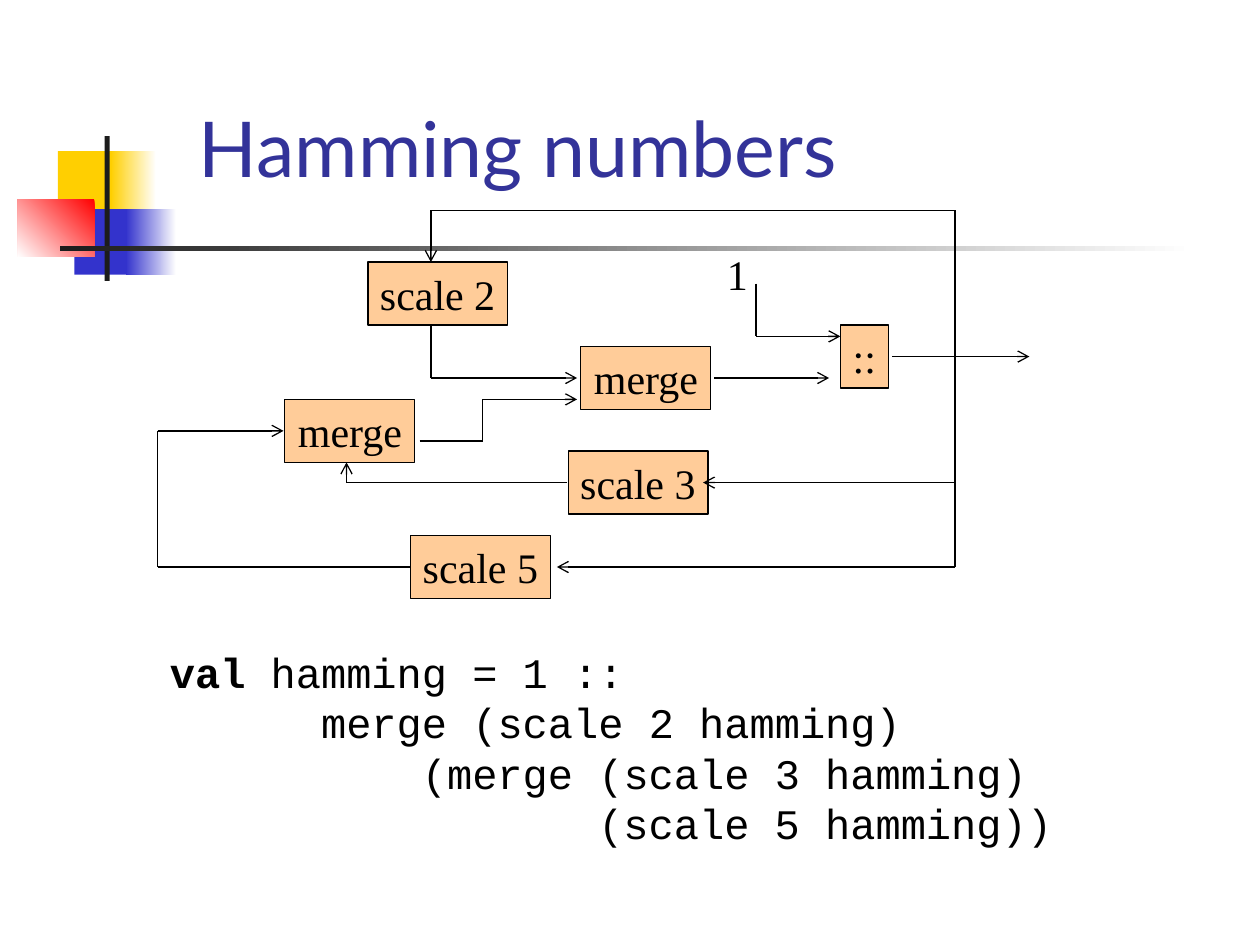
import itertools
from dataclasses import dataclass

import pptx
import pptx.dml.color
import pptx.enum.shapes
import pptx.enum.text
import pptx.oxml.ns
import pptx.util
from lxml import etree
from pptx.util import Inches

ALIGN = pptx.enum.text.PP_ALIGN
ANCHOR = pptx.enum.text.MSO_ANCHOR
RECTANGLE = pptx.enum.shapes.MSO_SHAPE.RECTANGLE
qn = pptx.oxml.ns.qn


@dataclass(frozen=True)
class Theme:
    title: str = "333399"
    ink: str = "000000"
    node: str = "FFCC99"
    yellow: str = "FFCF01"
    blue: str = "3333CC"
    red: str = "FF0000"
    bar: str = "1C1C1C"
    white: str = "FFFFFF"
    title_font: str = "Lato"
    body_font: str = "Times New Roman"
    code_font: str = "Courier New"
    title_size: int = 44
    body_size: int = 24
    line_width: float = 0.75


THEME = Theme()


def rgb(color):
    return pptx.dml.color.RGBColor.from_string(color)


def add_rectangle(slide, left, top, width, height, *colors, angle=180):
    """One colour gives a solid fill, two give a gradient."""
    shape = slide.shapes.add_shape(
        RECTANGLE, Inches(left), Inches(top), Inches(width), Inches(height))
    shape.shadow.inherit = False
    shape.line.fill.background()
    if len(colors) == 1:
        shape.fill.solid()
        shape.fill.fore_color.rgb = rgb(colors[0])
    else:
        shape.fill.gradient()
        shape.fill.gradient_angle = angle
        for stop, color in zip(shape.fill.gradient_stops, colors):
            stop.color.rgb = rgb(color)
    return shape


def style_paragraph(paragraph, font, size, color, align=ALIGN.LEFT):
    paragraph.alignment = align
    paragraph.font.name = font
    paragraph.font.size = pptx.util.Pt(size)
    paragraph.font.color.rgb = rgb(color)


def set_tab_stops(paragraph, positions):
    stops = etree.Element(qn("a:tabLst"))
    for position in positions:
        etree.SubElement(stops, qn("a:tab"), pos=str(Inches(position)), algn="l")
    paragraph._p.get_or_add_pPr().insert(0, stops)


def add_text(slide, left, top, width, height):
    box = slide.shapes.add_textbox(
        Inches(left), Inches(top), Inches(width), Inches(height))
    box.text_frame.word_wrap = False
    return box.text_frame


def add_wire(slide, points):
    """Draw straight segments through the points, the last with an arrowhead."""
    for start, end in itertools.pairwise(points):
        wire = slide.shapes.add_connector(
            pptx.enum.shapes.MSO_CONNECTOR.STRAIGHT,
            *(Inches(length) for length in start + end))
        wire.line.color.rgb = rgb(THEME.ink)
        wire.line.width = pptx.util.Pt(THEME.line_width)
        properties = wire._element.spPr
        if end == points[-1]:
            etree.SubElement(properties.find(qn("a:ln")), qn("a:tailEnd"), type="arrow")
        etree.SubElement(properties, qn("a:effectLst"))


def add_ornament(slide, left, top, width, height):
    """Coloured squares with a cross of bars; the rule spans the width."""
    bar_width = 0.04
    pieces = [
        (0.32, 0.12, 0.48, 0.52, THEME.yellow),
        (0.74, 0.12, 0.36, 0.52, THEME.white, THEME.yellow),
        (0.45, 0.58, 0.46, 0.52, THEME.blue),
        (0.86, 0.58, 0.4, 0.52, THEME.white, THEME.blue),
    ]
    for x, y, *rest in pieces:
        add_rectangle(slide, left + x, top + y, *rest)
    add_rectangle(slide, left, top + 0.5, 0.61, 0.46, THEME.red, THEME.white, angle=225)
    add_rectangle(slide, left + 0.69, top, bar_width, height, THEME.bar)
    add_rectangle(slide, left + 0.34, top + 0.87, width - 0.34, bar_width,
                  THEME.white, THEME.bar)


def add_title(slide, left, top, width, height):
    frame = add_text(slide, left, top, width, height)
    frame.word_wrap = True
    frame.vertical_anchor = ANCHOR.BOTTOM
    frame.text = "Hamming numbers"
    style_paragraph(frame.paragraphs[0], THEME.title_font, THEME.title_size, THEME.title)


def add_code(slide, left, top, width, height):
    frame = add_text(slide, left, top, width, height)
    lines = [
        ("val ", "hamming = 1 ::"),
        ("", "\t merge (scale 2 hamming)"),
        ("", "\t\t(merge (scale 3 hamming)"),
        ("", "\t\t\t  (scale 5 hamming))"),
    ]
    for index, (keyword, code) in enumerate(lines):
        paragraph = frame.add_paragraph() if index else frame.paragraphs[0]
        style_paragraph(paragraph, THEME.code_font, THEME.body_size, THEME.ink)
        set_tab_stops(paragraph, range(1, 4))
        if keyword:
            run = paragraph.add_run()
            run.text = keyword
            run.font.bold = True
        paragraph.add_run().text = code


def add_node(slide, text, left, top, width, height, align):
    node = add_rectangle(slide, left, top, width, height, THEME.node)
    node.line.color.rgb = rgb(THEME.ink)
    node.line.width = pptx.util.Pt(THEME.line_width)
    frame = node.text_frame
    frame.word_wrap = False
    frame.vertical_anchor = ANCHOR.TOP
    frame.text = text
    style_paragraph(frame.paragraphs[0], THEME.body_font, THEME.body_size,
                    THEME.ink, align)


def add_diagram(slide, left, top, width, height):
    """Dataflow network; the trunk feeds the output back to the scale nodes."""
    node_height = 0.5
    scale_width, merge_width = 1.11, 1.03
    trunk = 6.33
    output_y, scale_3_y, scale_5_y = 1.16, 2.16, 2.83

    # Nodes
    nodes = [
        ("::", 5.42, 0.91, 0.38, ALIGN.CENTER),
        ("merge", 3.36, 1.08, merge_width, ALIGN.RIGHT),
        ("merge", 1.01, 1.5, merge_width, ALIGN.RIGHT),
        ("scale 2", 1.67, 0.41, scale_width, ALIGN.RIGHT),
        ("scale 3", 3.26, 1.91, scale_width, ALIGN.RIGHT),
        ("scale 5", 2.01, height - node_height, scale_width, ALIGN.RIGHT),
    ]
    for text, x, y, node_width, align in nodes:
        add_node(slide, text, left + x, top + y, node_width, node_height, align)

    # Initial value
    frame = add_text(slide, left + 4.42, top + 0.25, 0.36, node_height)
    frame.text = "1"
    style_paragraph(frame.paragraphs[0], THEME.body_font, THEME.body_size, THEME.ink)

    # Wires
    wires = [
        [(4.75, 0.58), (4.75, 1), (5.42, 1)],
        [(4.42, 1.33), (5.33, 1.33)],
        [(5.83, output_y), (width, output_y)],
        [(trunk, output_y), (trunk, scale_5_y), (3.17, scale_5_y)],
        [(2, scale_5_y), (0, scale_5_y), (0, 1.75), (1, 1.75)],
        [(trunk, scale_3_y), (4.33, scale_3_y)],
        [(3.25, scale_3_y), (1.5, scale_3_y), (1.5, 2)],
        [(2.08, 1.83), (2.58, 1.83), (2.58, 1.5), (3.33, 1.5)],
        [(trunk, output_y), (trunk, 0), (2.17, 0), (2.17, 0.41)],
        [(2.17, 0.91), (2.17, 1.33), (3.33, 1.33)],
    ]
    for points in wires:
        add_wire(slide, [(left + x, top + y) for x, y in points])


def main():
    presentation = pptx.Presentation()
    presentation.slide_width = Inches(10)
    presentation.slide_height = Inches(7.5)
    slide = presentation.slides.add_slide(presentation.slide_layouts[6])
    add_ornament(slide, 0.14, 1.08, 9.34, 1.15)
    add_title(slide, 1.48, 0.33, 8.52, 1.25)
    add_code(slide, 1.25, 5.08, 7.2, 1.7)
    add_diagram(slide, 1.25, 1.67, 6.92, 3.08)
    presentation.save("out.pptx")


if __name__ == "__main__":
    main()
